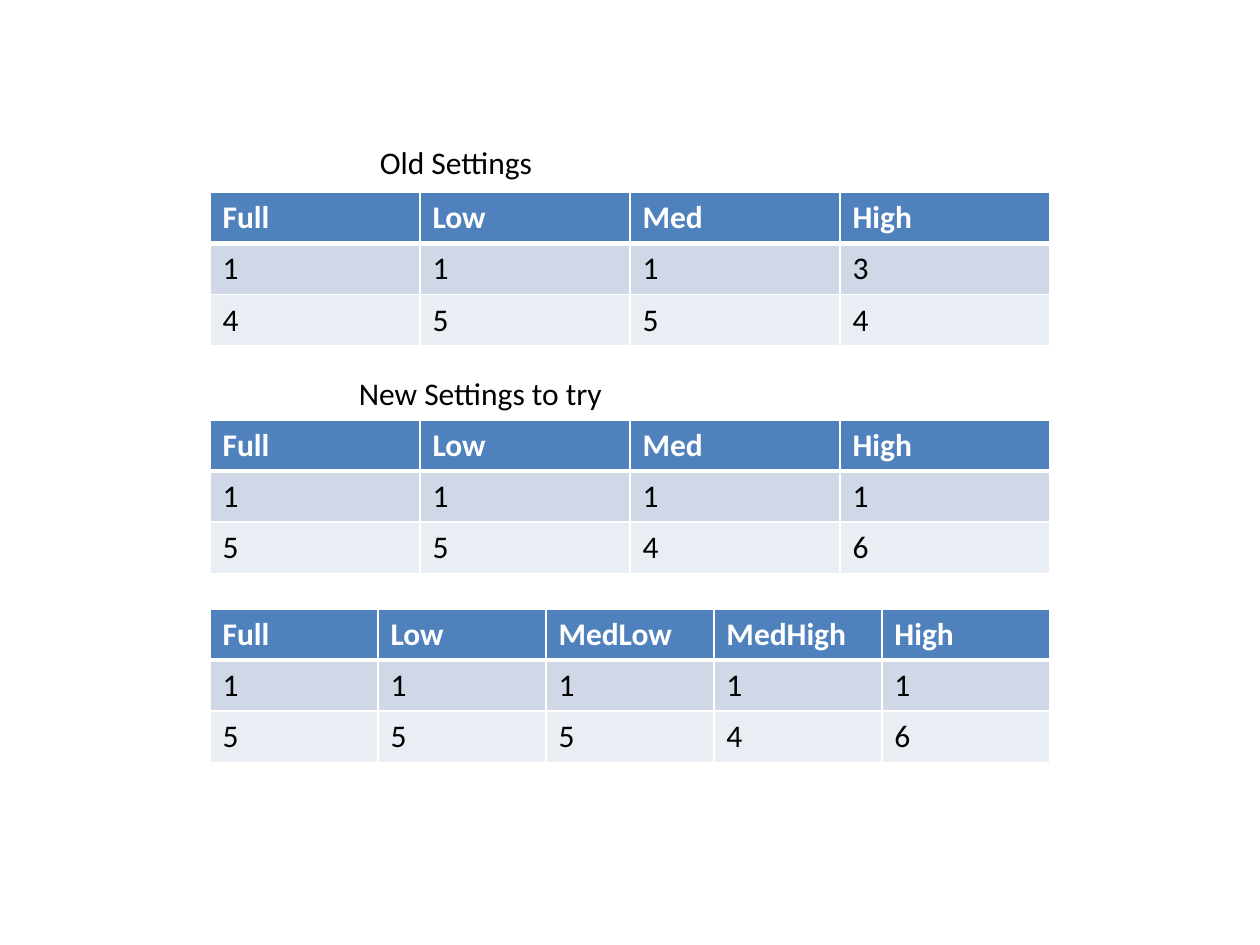
from lxml import etree
from pptx import Presentation
from pptx.dml.color import RGBColor
from pptx.enum.text import MSO_AUTO_SIZE
from pptx.oxml.ns import qn
from pptx.util import Pt

FIT = MSO_AUTO_SIZE.SHAPE_TO_FIT_TEXT
WHITE = RGBColor(0xFF, 0xFF, 0xFF)
BLACK = RGBColor(0x00, 0x00, 0x00)
BLUE = RGBColor(0x4F, 0x81, 0xBD)
BAND = RGBColor(0xD0, 0xD8, 0xE8)
PALE = RGBColor(0xE9, 0xED, 0xF4)
FILLS = [BLUE, BAND, PALE]
LEFT, WIDTH, ROW = 120, 480, 29.2


class Sheet:
    font = "Calibri"
    size = 18

    def __init__(self, slide):
        self.slide = slide

    def words(self, frame, text, color, bold=False):
        run = frame.paragraphs[0].add_run()
        run.text = text
        run.font.name = self.font
        run.font.size = Pt(self.size)
        run.font.bold = bold
        run.font.color.rgb = color

    def label(self, text, left, top):
        box = self.slide.shapes.add_textbox(Pt(left), Pt(top), Pt(174), Pt(29))
        frame = box.text_frame
        frame.word_wrap = True
        frame.auto_size = FIT
        self.words(frame, text, BLACK)

    def border(self, cell, side, width):
        line = etree.SubElement(cell._tc.get_or_add_tcPr(), qn("a:ln" + side))
        line.set("w", str(Pt(width)))
        fill = etree.SubElement(line, qn("a:solidFill"))
        etree.SubElement(fill, qn("a:srgbClr")).set("val", str(WHITE))

    def table(self, top, rows):
        count = len(rows[0])
        frame = self.slide.shapes.add_table(
            len(rows), count, Pt(LEFT), Pt(top), Pt(WIDTH), Pt(ROW * len(rows)))
        grid = frame.table
        for col in grid.columns:
            col.width = Pt(WIDTH / count)
        for r, row in enumerate(rows):
            grid.rows[r].height = Pt(ROW)
            head = r == 0
            edges = {"L": 1, "R": 1, "T": 3 if r == 1 else 1, "B": 3 if head else 1}
            for c, text in enumerate(row):
                cell = grid.cell(r, c)
                for side, width in edges.items():
                    self.border(cell, side, width)
                cell.fill.solid()
                cell.fill.fore_color.rgb = FILLS[r]
                self.words(cell.text_frame, text, WHITE if head else BLACK, head)


def main():
    deck = Presentation()
    deck.slide_width, deck.slide_height = Pt(720), Pt(540)
    sheet = Sheet(deck.slides.add_slide(deck.slide_layouts[6]))
    four = ["Full", "Low", "Med", "High"]
    five = ["Full", "Low", "MedLow", "MedHigh", "High"]
    sheet.table(110, [four, "1113", "4554"])
    sheet.table(240, [four, "1111", "5546"])
    sheet.label("Old Settings", 210, 78)
    sheet.label("New Settings to try", 198, 210)
    sheet.table(348, [five, "11111", "55546"])
    deck.save("out.pptx")


if __name__ == "__main__":
    main()
